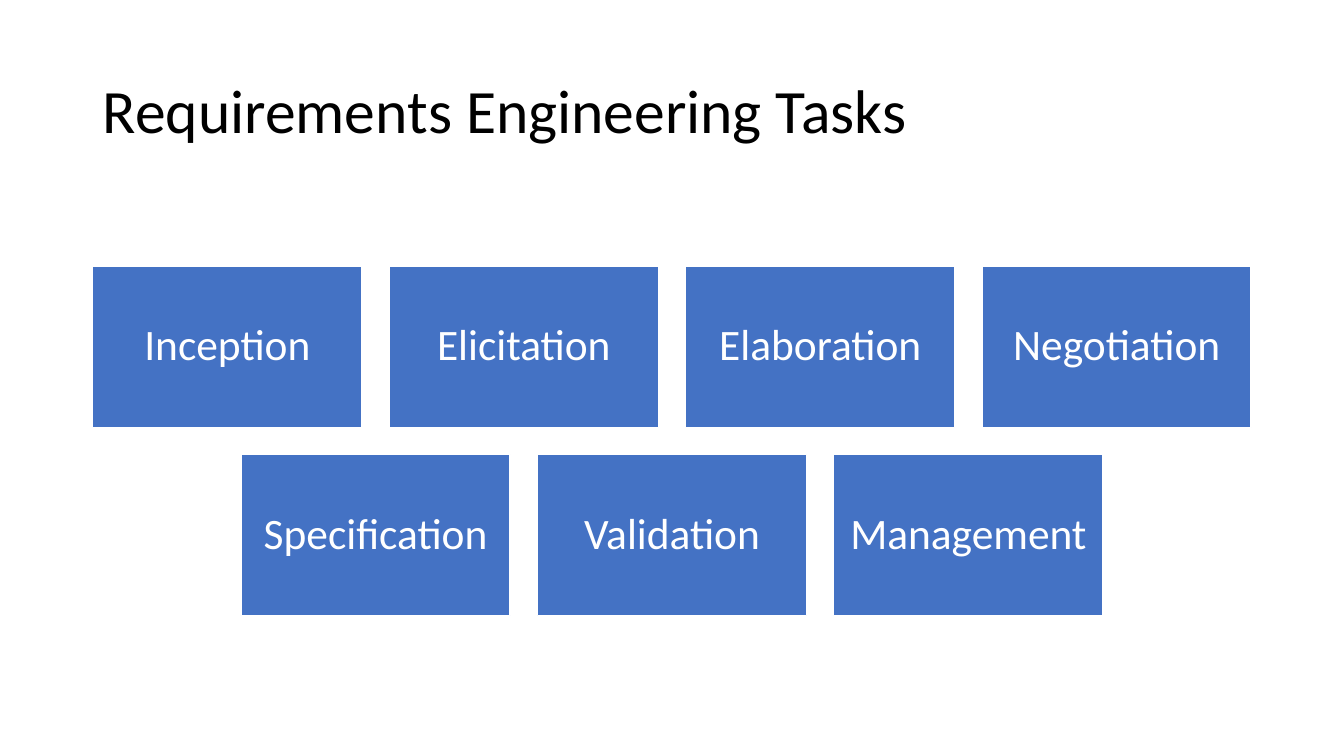
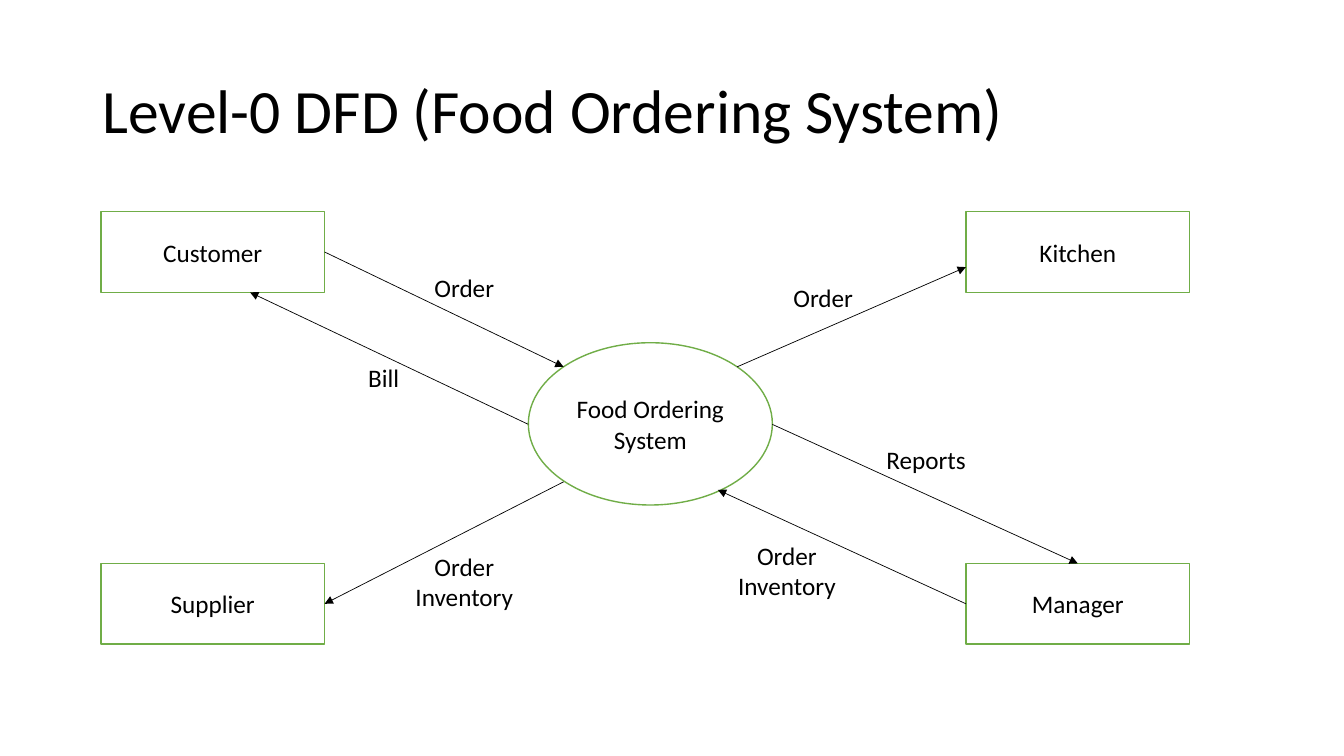
import lxml.etree
import pptx
import pptx.dml.color
import pptx.enum.shapes
import pptx.enum.text
import pptx.oxml.ns
import pptx.util

Inches = pptx.util.Inches
Pt = pptx.util.Pt
SHAPE = pptx.enum.shapes.MSO_SHAPE
ALIGN = pptx.enum.text.PP_ALIGN
ANCHOR = pptx.enum.text.MSO_ANCHOR

WIDTH, HEIGHT = 13.33, 7.5
FONT = "Calibri"
BLACK, WHITE, BLUE, GREEN = "000000", "FFFFFF", "4472C4", "70AD47"


def paint(target, value):
    target.rgb = pptx.dml.color.RGBColor.from_string(value)


def write(shape, text, size, color=BLACK, align=ALIGN.CENTER,
          anchor=ANCHOR.MIDDLE, space=1.0, inset=None):
    frame = shape.text_frame
    frame.word_wrap = True
    frame.vertical_anchor = anchor
    if inset is not None:
        frame.margin_left = frame.margin_right = Inches(inset)
        frame.margin_top = frame.margin_bottom = Inches(inset)
    frame.text = text
    line = frame.paragraphs[0]
    line.alignment = align
    line.line_spacing = space
    line.font.name = FONT
    line.font.size = Pt(size)
    paint(line.font.color, color)


def add_slide(deck, title):
    slide = deck.slides.add_slide(deck.slide_layouts[6])
    box = slide.shapes.add_textbox(Inches(0.92), Inches(0.4), Inches(11.5), Inches(1.45))
    write(box, title, 44, align=ALIGN.LEFT, space=0.9)
    return slide


def add_block(slide, kind, left, top, width, height, fill, edge):
    block = slide.shapes.add_shape(
        kind, Inches(left), Inches(top), Inches(width), Inches(height))
    block.shadow.inherit = False
    block.fill.solid()
    paint(block.fill.fore_color, fill)
    paint(block.line.color, edge)
    block.line.width = Pt(1)
    return block


def add_row(slide, names, top, width, height, gap):
    total = len(names) * width + (len(names) - 1) * gap
    left = (WIDTH - total) / 2
    for index, name in enumerate(names):
        task = add_block(slide, SHAPE.RECTANGLE, left + index * (width + gap), top,
                         width, height, BLUE, WHITE)
        write(task, name, 31, WHITE, space=0.9, inset=0.13)


def add_node(slide, kind, name, left, top, width, height):
    node = add_block(slide, kind, left, top, width, height, WHITE, GREEN)
    write(node, name, 18)
    return node


def add_flow(slide, start, end, source=None, target=None):
    flow = slide.shapes.add_connector(
        pptx.enum.shapes.MSO_CONNECTOR.STRAIGHT, *map(Inches, start + end))
    if source:
        flow.begin_connect(*source)
    if target:
        flow.end_connect(*target)
    paint(flow.line.color, BLACK)
    flow.line.width = Pt(0.5)
    qn = pptx.oxml.ns.qn
    props = flow.element.spPr
    lxml.etree.SubElement(props.find(qn("a:ln")), qn("a:tailEnd"), type="triangle")
    lxml.etree.SubElement(props, qn("a:effectLst"))


def add_label(slide, text, left, top, height=0.4):
    label = slide.shapes.add_textbox(
        Inches(left), Inches(top), Inches(1.27), Inches(height))
    write(label, text, 18, anchor=ANCHOR.TOP)


def build_tasks(deck):
    slide = add_slide(deck, "Requirements Engineering Tasks")
    rows = [
        ["Inception", "Elicitation", "Elaboration", "Negotiation"],
        ["Specification", "Validation", "Management"],
    ]
    width, height, gap = 2.67, 1.6, 0.27
    for index, names in enumerate(rows):
        add_row(slide, names, 2.64 + index * (height + gap), width, height, gap)


def build_flows(deck):
    slide = add_slide(deck, "Level-0 DFD (Food Ordering System)")
    add_node(slide, SHAPE.OVAL, "Food Ordering System", 5.24, 3.4, 2.42, 1.61)
    west, east, north, south = 1, 9.58, 2.1, 5.59
    places = {
        "Customer": (west, north),
        "Kitchen": (east, north),
        "Manager": (east, south),
        "Supplier": (west, south),
    }
    nodes = {name: add_node(slide, SHAPE.RECTANGLE, name, left, top, 2.22, 0.8)
             for name, (left, top) in places.items()}

    add_flow(slide, (3.22, 2.5), (5.59, 3.64), source=(nodes["Customer"], 3))
    add_flow(slide, (5.24, 4.21), (2.48, 2.9))
    add_flow(slide, (7.31, 3.64), (9.58, 2.65))
    add_flow(slide, (5.59, 4.78), (3.22, 6), target=(nodes["Supplier"], 3))
    add_flow(slide, (7.66, 4.21), (10.69, 5.59), target=(nodes["Manager"], 0))
    add_flow(slide, (9.58, 6), (7.12, 4.86), source=(nodes["Manager"], 1))

    add_label(slide, "Order", 3.97, 2.65)
    add_label(slide, "Bill", 3.17, 3.55)
    add_label(slide, "Order", 7.53, 2.75)
    add_label(slide, "Order Inventory", 3.97, 5.42, 0.71)
    add_label(slide, "Order Inventory", 7.17, 5.31, 0.71)
    add_label(slide, "Reports", 8.55, 4.36)


def main():
    deck = pptx.Presentation()
    deck.slide_width = Inches(WIDTH)
    deck.slide_height = Inches(HEIGHT)
    build_tasks(deck)
    build_flows(deck)
    deck.save("out.pptx")


if __name__ == "__main__":
    main()
